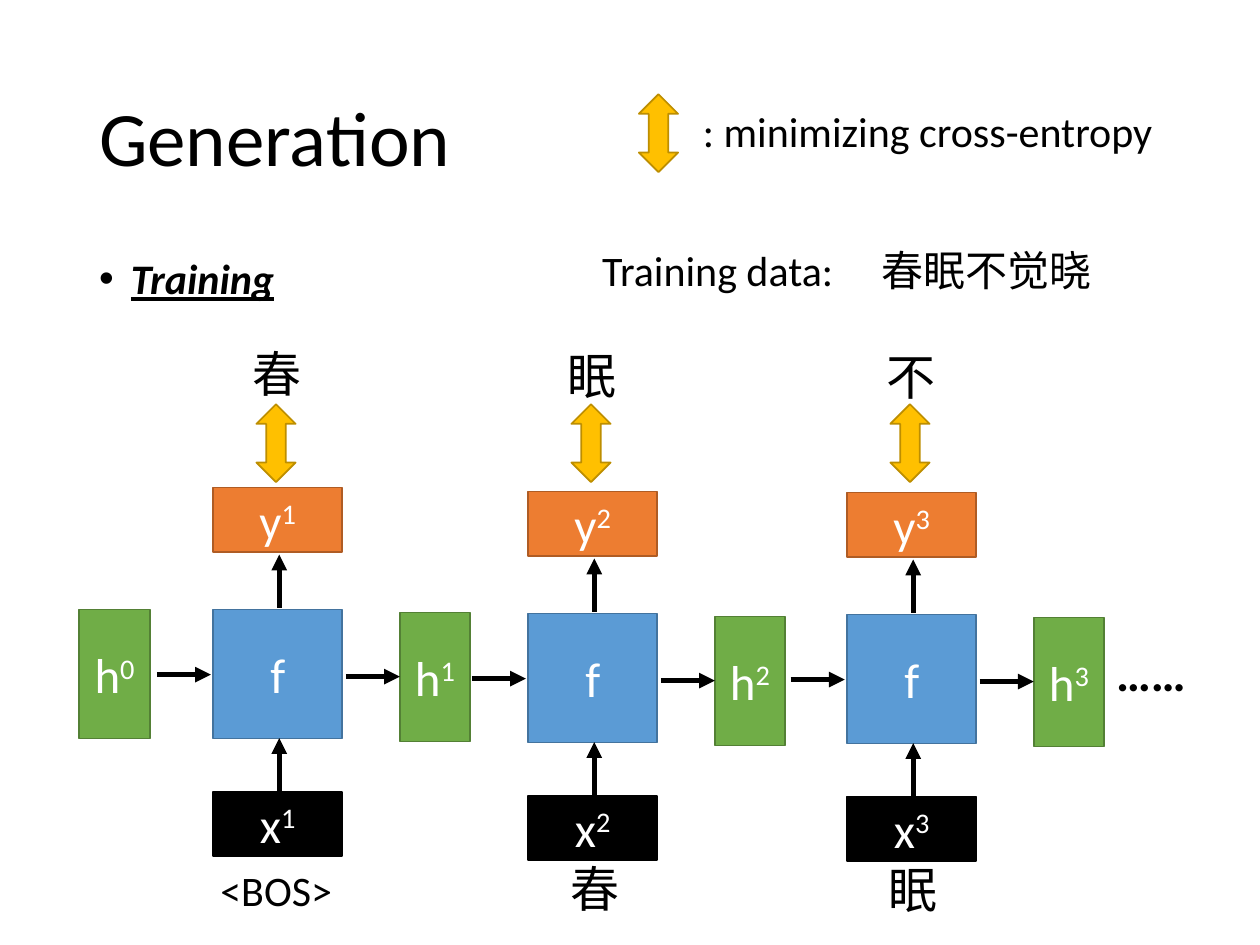
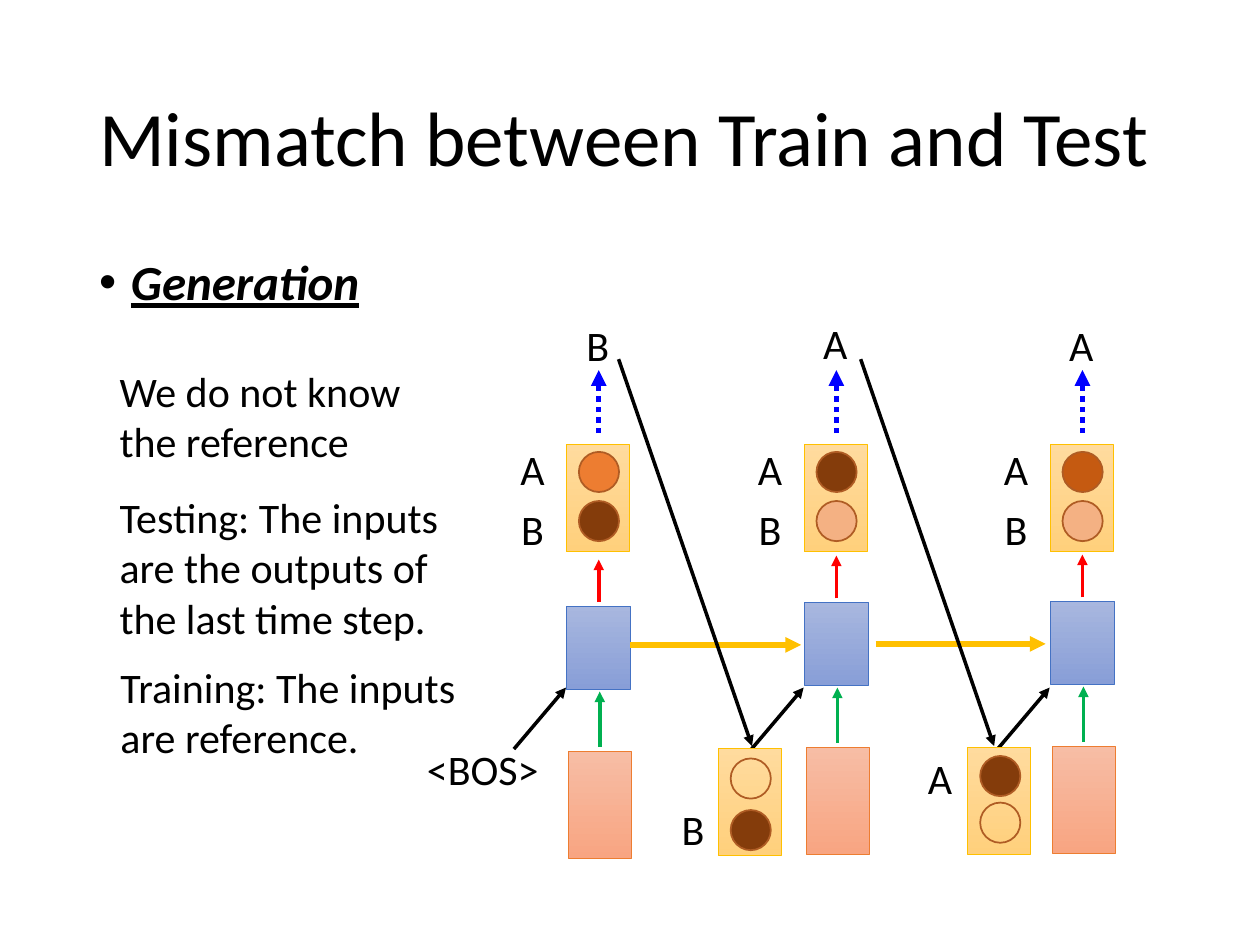
from lxml import etree
from pptx import Presentation
from pptx.dml.color import RGBColor
from pptx.enum.dml import MSO_LINE
from pptx.enum.shapes import MSO_CONNECTOR, MSO_SHAPE
from pptx.enum.text import MSO_ANCHOR, PP_ALIGN
from pptx.oxml.ns import qn
from pptx.util import Cm, Pt

RECT, OVAL, UP_DOWN = MSO_SHAPE.RECTANGLE, MSO_SHAPE.OVAL, MSO_SHAPE.UP_DOWN_ARROW
STRAIGHT, DOTTED = MSO_CONNECTOR.STRAIGHT, MSO_LINE.ROUND_DOT
LEFT, CENTER = PP_ALIGN.LEFT, PP_ALIGN.CENTER
TOP, MIDDLE = MSO_ANCHOR.TOP, MSO_ANCHOR.MIDDLE

LATIN, CHINESE = "Calibri", "Noto Sans CJK SC"
COLORS = {
    "black": "000000", "white": "FFFFFF",
    "blue": "5B9BD5", "blue edge": "43739E",
    "green": "70AD47", "green edge": "538035",
    "orange": "ED7D31", "orange edge": "AF5C24",
    "gold": "FFC000", "gold edge": "BD8E00",
    "indigo edge": "4472C4",
    "red arrow": "FF0000", "green arrow": "00B050", "blue arrow": "0000FF",
    "brown": "843C0B", "rust": "C55A11", "peach": "F4B183",
    "indigo top": "A8B7DF", "indigo bottom": "889ED7",
    "salmon top": "F7BDA5", "salmon bottom": "F8A582",
    "sand top": "FFDB9E", "sand bottom": "FFD07C",
}


def rgb(name):
    return RGBColor.from_string(COLORS[name])


class Deck:
    """Holds the presentation style and the slide being filled."""

    def __init__(self):
        self.presentation = Presentation()
        self.presentation.slide_width = Cm(25.4)
        self.presentation.slide_height = Cm(19.05)
        self.slide = None

    def new_slide(self, title, topic, topic_size):
        self.slide = self.presentation.slides.add_slide(self.presentation.slide_layouts[6])
        heading = self.text(title, 1.75, 1.01, 21.91, 3.68, size=44, anchor=MIDDLE)
        heading.line_spacing = 0.9
        bullet = self.text(topic, 1.75, 5.08, 21.91, 12.1, size=topic_size)
        bullet.line_spacing = 0.9
        properties = bullet._p.get_or_add_pPr()
        properties.set("marL", str(Cm(0.64)))
        properties.set("indent", str(-Cm(0.64)))
        etree.SubElement(properties, qn("a:buFont"), typeface="Arial")
        etree.SubElement(properties, qn("a:buChar"), char="•")
        font = bullet.runs[0].font
        font.bold = font.italic = font.underline = True

    def style_run(self, run, size, color, typeface=LATIN):
        run.font.size = Pt(size)
        run.font.color.rgb = rgb(color)
        run.font.name = typeface
        etree.SubElement(run._r.get_or_add_rPr(), qn("a:ea"), typeface=typeface)

    def text(self, words, x, y, width, height, size=24, align=LEFT, anchor=TOP,
             typeface=LATIN):
        box = self.slide.shapes.add_textbox(Cm(x), Cm(y), Cm(width), Cm(height))
        frame = box.text_frame
        frame.word_wrap = True
        frame.vertical_anchor = anchor
        frame.text = words
        paragraph = frame.paragraphs[0]
        paragraph.alignment = align
        self.style_run(paragraph.runs[0], size, "black", typeface)
        return paragraph

    def label(self, words, x, y, width, height=1.27, **style):
        return self.text(words, x, y, width, height, align=CENTER, **style)

    def shape(self, kind, x, y, width, height, fill, edge, weight=1):
        """fill is a colour, a (top, bottom) gradient or None."""
        shape = self.slide.shapes.add_shape(kind, Cm(x), Cm(y), Cm(width), Cm(height))
        shape.shadow.inherit = False
        if fill is None:
            shape.fill.background()
        elif isinstance(fill, tuple):
            shape.fill.gradient()
            shape.fill.gradient_angle = 270
            for stop, color in zip(shape.fill.gradient_stops, fill):
                stop.color.rgb = rgb(color)
        else:
            shape.fill.solid()
            shape.fill.fore_color.rgb = rgb(fill)
        shape.line.color.rgb = rgb(edge)
        shape.line.width = Pt(weight)
        return shape

    def node(self, letter, step, x, y, width, height, fill, edge):
        """A network node such as h with its time step raised."""
        frame = self.shape(RECT, x, y, width, height, fill, edge).text_frame
        frame.vertical_anchor = MIDDLE
        frame.text = letter
        paragraph = frame.paragraphs[0]
        paragraph.alignment = CENTER
        if step:
            paragraph.add_run().text = step
        for run in paragraph.runs:
            self.style_run(run, 28, "white")
        if step:
            paragraph.runs[1]._r.get_or_add_rPr().set("baseline", "30000")

    def arrow(self, x1, y1, x2, y2, color="black", weight=3, dash=None):
        line = self.slide.shapes.add_connector(STRAIGHT, Cm(x1), Cm(y1), Cm(x2), Cm(y2))
        line.line.color.rgb = rgb(color)
        line.line.width = Pt(weight)
        if dash:
            line.line.dash_style = dash
        etree.SubElement(line.line._get_or_add_ln(), qn("a:tailEnd"), type="triangle")
        etree.SubElement(line._element.spPr, qn("a:effectLst"))

    def cross_entropy(self, x, y):
        self.shape(UP_DOWN, x, y, 0.79, 1.57, "gold", "gold edge")

    def distribution(self, x, y, first, second, offsets=(0.15, 1.14)):
        """A two-word distribution; darker circles are more probable."""
        self.shape(RECT, x, y, 1.27, 2.16, ("sand top", "sand bottom"), "gold", 0.5)
        for color, offset in zip((first, second), offsets):
            self.shape(OVAL, x + 0.25, y + offset, 0.81, 0.81, color, "orange edge")


def training_slide(deck):
    deck.new_slide("Generation", "Training", 24)

    # Legend and training sentence
    deck.cross_entropy(12.88, 1.9)
    deck.text(": minimizing cross-entropy", 13.92, 2.01, 9.93, 1.27)
    sentence = deck.text("Training data:\t", 11.89, 4.8, 12.9, 1.27)
    tabs = etree.SubElement(sentence._p.get_or_add_pPr(), qn("a:tabLst"))
    etree.SubElement(tabs, qn("a:tab"), pos=str(Cm(5.63)), algn="l")
    poem = sentence.add_run()
    poem.text = "春眠不觉晓"
    deck.style_run(poem, 24, "black", CHINESE)

    # Unrolled network: left edge, downward drift, target word, input word
    deck.node("h", "0", 1.6, 12.29, 1.42, 2.6, "green", "green edge")
    steps = [(4.3, 0, "春", "<BOS>"), (10.65, 0.08, "眠", "春"), (17.08, 0.1, "不", "眠")]
    for number, (x, drift, target, given) in enumerate(steps, 1):
        step = str(number)
        deck.node("f", "", x, 12.29 + drift, 2.6, 2.6, "blue", "blue edge")
        deck.node("h", step, x + 3.76, 12.35 + drift, 1.42, 2.6, "green", "green edge")
        deck.node("y", step, x, 9.83 + drift, 2.6, 1.3, "orange", "orange edge")
        deck.node("x", step, x, 15.96 + drift, 2.6, 1.3, "black", "black")
        deck.arrow(x - 1.14, 13.6 + drift, x - 0.05, 13.6 + drift)
        deck.arrow(x + 2.67, 13.64 + drift, x + 3.76, 13.64 + drift)
        for start, end in ((12.25, 11.18), (15.95, 14.88)):
            deck.arrow(x + 1.33, start + drift, x + 1.33, end + drift)
        deck.label(target, x + 0.22, 6.81 + drift / 2, 2.13, 1.45, size=28,
                   typeface=CHINESE)
        deck.cross_entropy(x + 0.87, 8.15)
        if given == "<BOS>":
            deck.label(given, x - 0.43, 17.3, 3.4)
        else:
            deck.label(given, x + 0.27, 17.1 + drift, 2.13, 1.45, size=28,
                       typeface=CHINESE)
    ellipsis = deck.text("……", 22.25, 12.83, 2.59, 1.45, size=28)
    ellipsis.runs[0].font.bold = True


def mismatch_slide(deck):
    deck.new_slide("Mismatch between Train and Test", "Generation", 28)

    # Explanations
    deck.text("We do not know the reference", 2.16, 7.24, 7.11, 2.31)
    deck.text("Testing: The inputs are the outputs of the last time step.",
              2.16, 9.78, 7.11, 3.33)
    deck.text("Training: The inputs are reference.", 2.18, 13.21, 8.18, 2.31)

    # Time steps: left edge, upward lift, chosen word and its height, A and B colours
    steps = [
        (11.42, 0, "B", 6.32, "orange", "brown"),
        (16.21, 0.08, "A", 6.27, "brown", "peach"),
        (21.17, 0.1, "A", 6.32, "rust", "peach"),
    ]
    for x, lift, chosen, chosen_y, color_a, color_b in steps:
        middle = x + 0.65
        deck.shape(RECT, x, 12.22 - lift, 1.3, 1.68,
                   ("indigo top", "indigo bottom"), "indigo edge", 0.5)
        deck.shape(RECT, x + 0.04, 15.14 - lift, 1.27, 2.16,
                   ("salmon top", "salmon bottom"), "orange", 0.5)
        deck.distribution(x, 8.96, color_a, color_b)
        deck.label("A", x - 1.36, 8.81, 1.35)
        deck.label("B", x - 1.36, 10.02, 1.35)
        deck.label(chosen, x - 0.45, chosen_y, 2.16)
        deck.arrow(middle, 12.14 - lift, middle, 11.28 - lift, "red arrow", 2)
        deck.arrow(middle + 0.02, 15.06 - lift, middle + 0.02, 13.94 - lift,
                   "green arrow", 2)
        deck.arrow(middle, 8.73, middle, 7.46, "blue arrow", 3, DOTTED)
        deck.arrow(x - 1.06, 15.1, x - 0.01, 13.86, weight=2)

    # State passed between steps
    deck.arrow(12.7, 13, 16.15, 13, "gold")
    deck.arrow(17.65, 12.98, 21.08, 12.98, "gold")

    # Outputs fed back as inputs
    deck.label("<BOS>", 8.2, 14.86, 3.07)
    deck.distribution(14.48, 15.09, None, "brown", (0.2, 1.24))
    deck.label("B", 13.41, 16.08, 1.12)
    deck.distribution(19.51, 15.06, "brown", None, (0.18, 1.12))
    deck.label("A", 18.39, 15.04, 1.12)
    for x in (12.47, 17.35):
        deck.arrow(x, 7.24, x + 2.69, 15.04, weight=2)


def main():
    deck = Deck()
    training_slide(deck)
    mismatch_slide(deck)
    deck.presentation.save("out.pptx")


if __name__ == "__main__":
    main()
